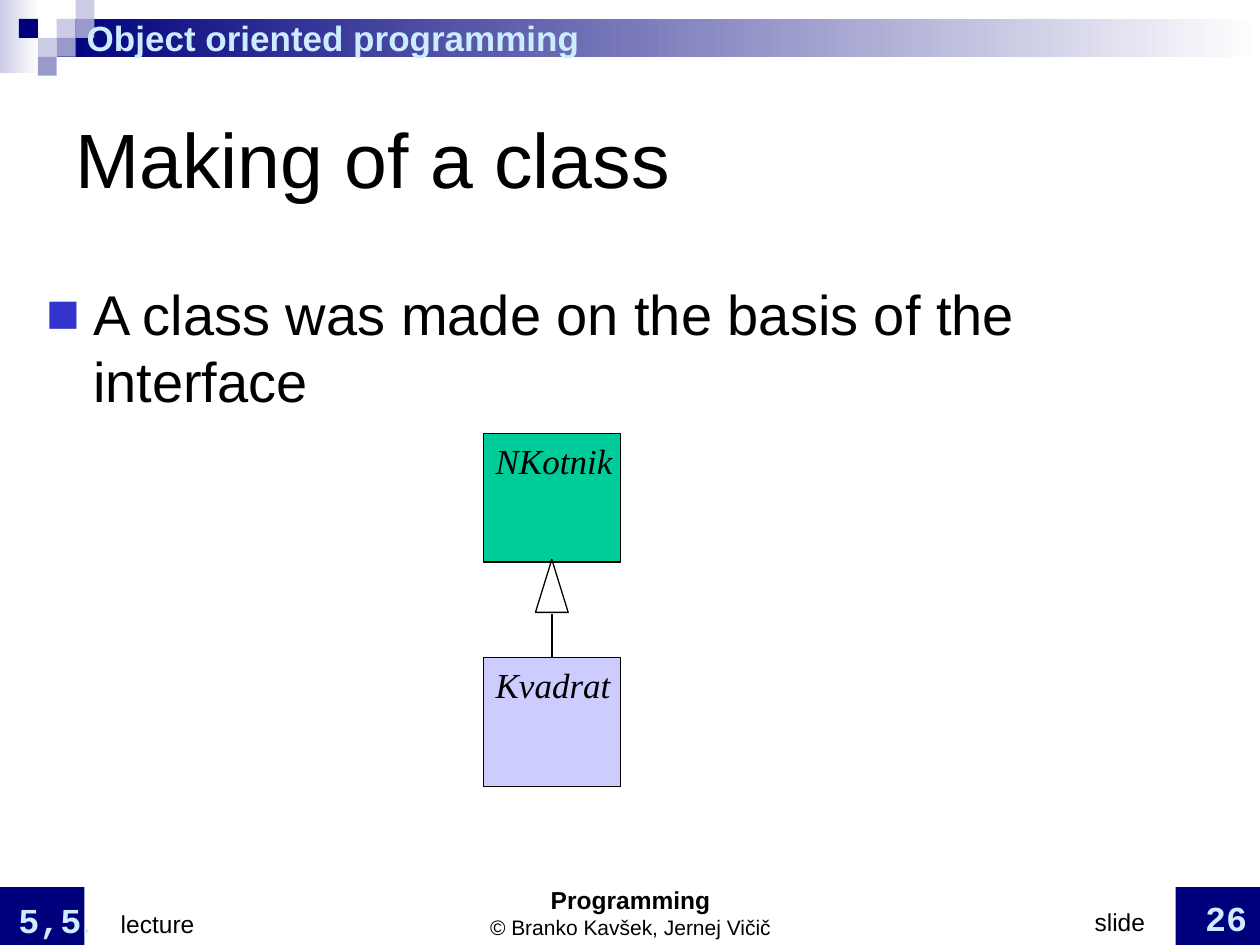
"""Build the slide on making a class from an interface."""
from lxml import etree
from pptx import Presentation
from pptx import util as u
from pptx.dml.color import RGBColor
from pptx.enum import shapes, text
from pptx.oxml.ns import qn

W, H = 10, 7.5
CELL = 0.15
COLORS = {
    "navy": "00007D", "mid": "9999CC", "pale": "CCCCE6", "white": "FFFFFF",
    "sky": "CCECFF", "black": "000000", "bullet": "3333CC",
    "green": "00CC99", "lilac": "CCCCFF",
}
RGB = {name: RGBColor.from_string(value) for name, value in COLORS.items()}

prs = Presentation()
prs.slide_width, prs.slide_height = u.Inches(W), u.Inches(H)
s = prs.slides.add_slide(prs.slide_layouts[6])


def block(x, y, w, h, fill=None, fade=None, line=None, kind=shapes.MSO_SHAPE.RECTANGLE):
    sp = s.shapes.add_shape(kind, *(u.Inches(v) for v in (x, y, w, h)))
    sp.shadow.inherit = False
    if fade:
        sp.fill.gradient()
        sp.fill.gradient_angle = 0
        for stop, name in zip(sp.fill.gradient_stops, (fill, fade)):
            stop.color.rgb = RGB[name]
    elif fill:
        sp.fill.solid()
        sp.fill.fore_color.rgb = RGB[fill]
    else:
        sp.fill.background()
    if line:
        sp.line.color.rgb = RGB[line]
        sp.line.width = u.Pt(0.75)
    else:
        sp.line.fill.background()
    return sp


def write(p, words, size=14, color="black", font="Arial", bold=False, italic=False):
    r = p.add_run()
    r.text = words
    r.font.size, r.font.name = u.Pt(size), font
    r.font.bold, r.font.italic = bold, italic
    r.font.color.rgb = RGB[color]


for x in (0, W - 0.67):
    block(x, H - 0.46, 0.67, 0.46, "navy")
block(0, 0, 0.31, 0.58, "pale", fade="white")
block(3 * CELL, CELL, W - 3 * CELL, 2 * CELL, "navy", fade="white")
for col, row, name in [
    (3, 1, "pale"), (4, 0, "pale"), (4, 1, "mid"), (2, 2, "pale"),
    (1, 1, "navy"), (3, 2, "mid"), (2, 3, "mid"),
]:
    block(col * CELL, row * CELL, CELL, CELL, name)

frames = {}
for name, box, anchor, margin in [
    ("header", (0.59, 0.15, 7.4, 0.29), text.MSO_ANCHOR.MIDDLE, 0.01),
    ("course", (3.27, 7.01, 3.47, 0.5), text.MSO_ANCHOR.BOTTOM, 0.05),
    ("number", (6.89, 7, 3.12, 0.5), text.MSO_ANCHOR.BOTTOM, 0.05),
    ("lecture", (-0.12, 6.99, 2.28, 0.52), text.MSO_ANCHOR.BOTTOM, 0.05),
    ("title", (0.5, 0.65, 9, 1.2), text.MSO_ANCHOR.MIDDLE, 0.05),
    ("body", (0.27, 2.17, 9.45, 4.82), text.MSO_ANCHOR.TOP, 0.05),
]:
    tf = s.shapes.add_textbox(*(u.Inches(v) for v in box)).text_frame
    tf.word_wrap, tf.vertical_anchor = True, anchor
    tf.margin_top = tf.margin_bottom = u.Inches(margin)
    frames[name] = tf

write(frames["header"].paragraphs[0], "Object oriented programming", size=20, color="sky", bold=True)
write(frames["title"].paragraphs[0], "Making of a class", size=44)

write(frames["course"].paragraphs[0], "Programming", bold=True)
write(frames["course"].add_paragraph(), "© Branko Kavšek, Jernej Vičič", size=12)
for p in frames["course"].paragraphs:
    p.alignment = text.PP_ALIGN.CENTER

for name, stops in [("number", [(2.1, "r"), (2.91, "r")]), ("lecture", [(0.98, "l")])]:
    tabs = etree.SubElement(frames[name].paragraphs[0]._p.get_or_add_pPr(), qn("a:tabLst"))
    for pos, side in stops:
        etree.SubElement(tabs, qn("a:tab"), pos=str(u.Inches(pos)), algn=side)

p = frames["number"].paragraphs[0]
write(p, "\tslide\t")
write(p, "26", size=20, color="sky", font="Courier New", bold=True)

p = frames["lecture"].paragraphs[0]
write(p, " 5,5", size=20, color="sky", font="Courier New", bold=True)
write(p, ".", size=20, color="sky")
write(p, "\tlecture")

p = frames["body"].paragraphs[0]
p.space_before = u.Pt(8)
pPr = p._p.get_or_add_pPr()
pPr.set("marL", str(u.Inches(0.37)))
pPr.set("indent", str(-u.Inches(0.37)))
etree.SubElement(etree.SubElement(pPr, qn("a:buClr")), qn("a:srgbClr"), val=COLORS["bullet"])
etree.SubElement(pPr, qn("a:buFont"), typeface="Arial")
etree.SubElement(pPr, qn("a:buChar"), char="■")
write(p, "A class was made on the basis of the interface", size=32)

BOX_W, BOX_H, MID = 1.09, 1.02, 4.38
for name, top, fill in [("NKotnik", 3.44, "green"), ("Kvadrat", 5.22, "lilac")]:
    sp = block(MID - BOX_W / 2, top, BOX_W, BOX_H, fill, line="black")
    tf = sp.text_frame
    tf.word_wrap, tf.vertical_anchor = False, text.MSO_ANCHOR.TOP
    p = tf.paragraphs[0]
    p.alignment, p.space_before = text.PP_ALIGN.LEFT, u.Pt(5)
    write(p, name, size=20, font="Times New Roman", italic=True)

block(MID - 0.13, 4.44, 0.26, 0.42, line="black", kind=shapes.MSO_SHAPE.ISOSCELES_TRIANGLE)
link = s.shapes.add_connector(
    shapes.MSO_CONNECTOR.STRAIGHT, *(u.Inches(v) for v in (MID, 5.22, MID, 4.87)))
link.begin_connect(sp, 0)
link.line.color.rgb = RGB["black"]
link.line.width = u.Pt(0.75)
etree.SubElement(link._element.spPr, qn("a:effectLst"))

prs.save("out.pptx")
